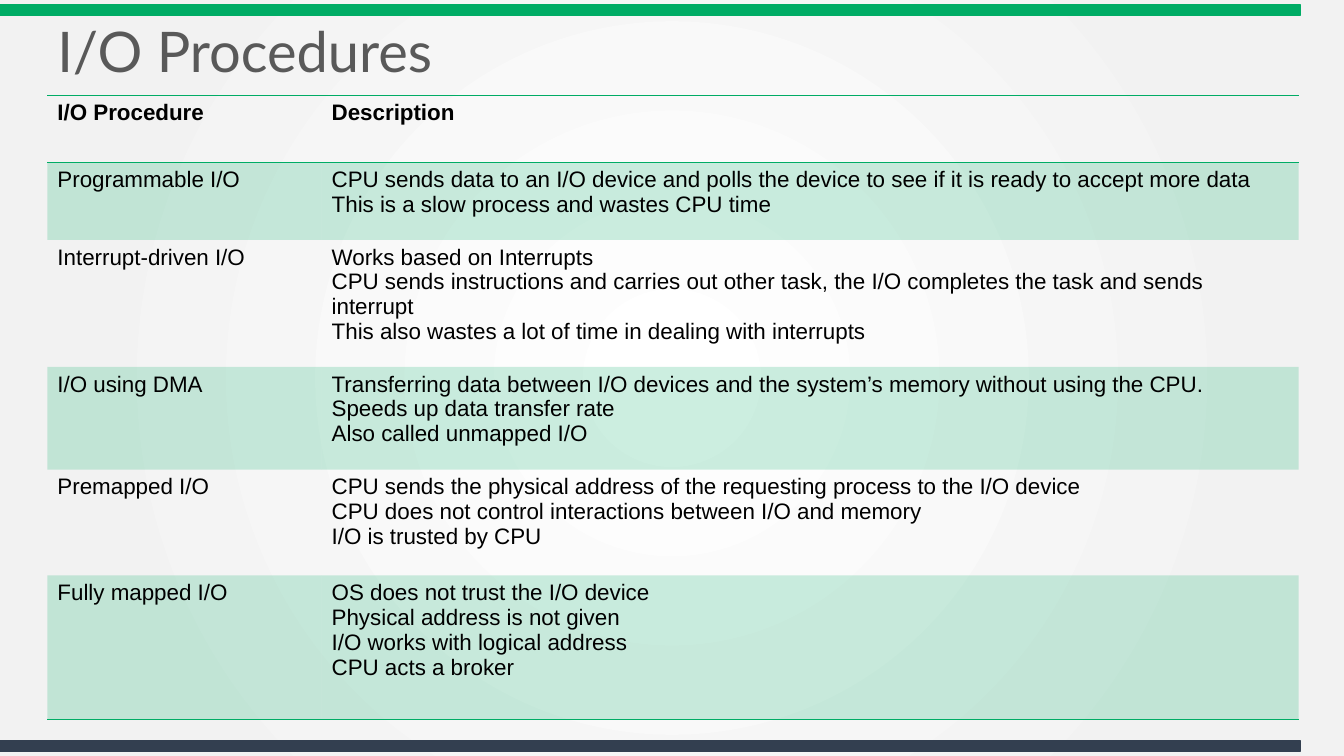
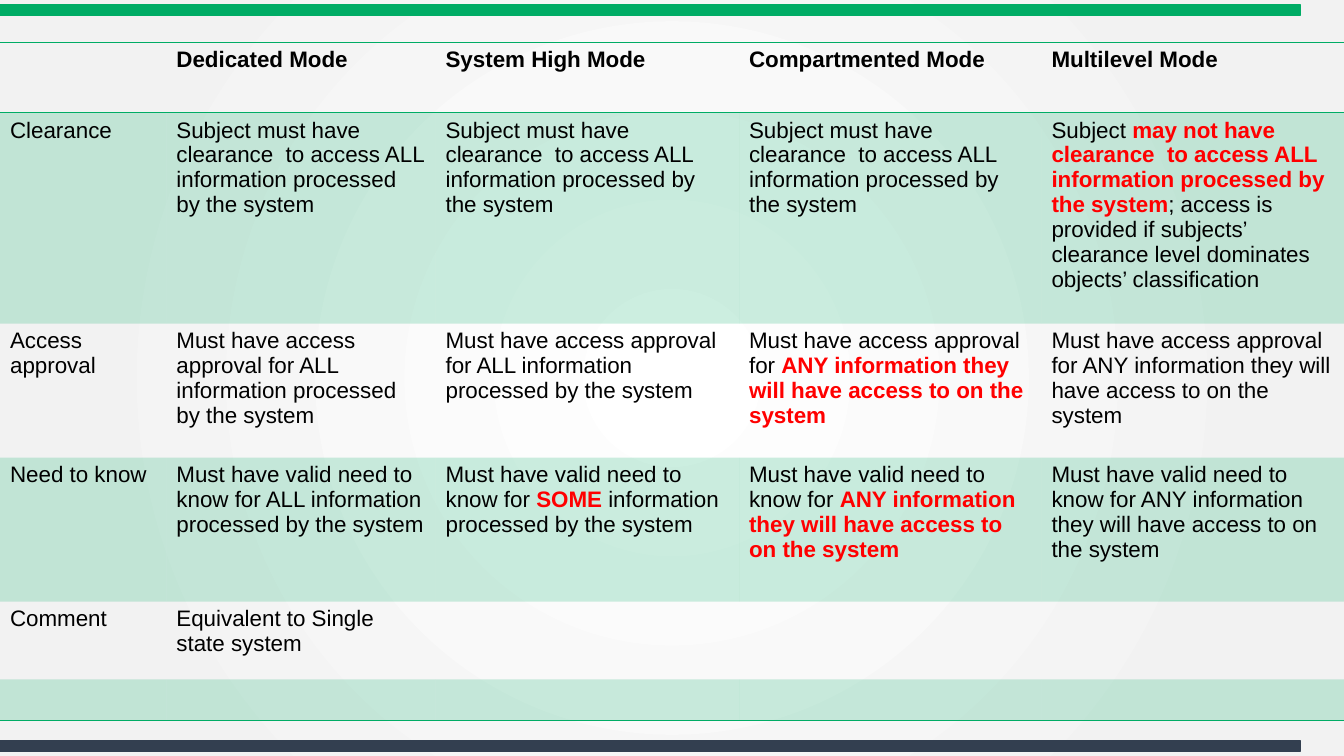
import pptx
import pptx.util
import pptx.dml.color
import pptx.enum.shapes
import pptx.enum.text
import pptx.oxml
import pptx.oxml.ns

Inches = pptx.util.Inches
Pt = pptx.util.Pt

COLORS = {
    "green": "00AC65", "navy": "333F50", "title": "595959", "text": "000000",
    "accent": "FF0000", "center": "FFFFFF", "edge": "F2F2F2",
}
TITLE_FONT = "Lato"
BODY_FONT = "Arial"
NO_GRID_STYLE = "{2D5ABB26-0587-4C30-8999-92F81FD0307C}"
BAND_ALPHA = 20000  # 20 % opacity

# Cell text: a line break starts a paragraph, *asterisks* mark red bold words
PROCEDURES = [
    ["I/O Procedure", "Description"],
    ["Programmable I/O",
     "CPU sends data to an I/O device and polls the device to see if it is ready to accept more data\n"
     "This is a slow process and wastes CPU time"],
    ["Interrupt-driven I/O",
     "Works based on Interrupts\n"
     "CPU sends instructions and carries out other task, the I/O completes the task and sends interrupt\n"
     "This also wastes a lot of time in dealing with interrupts"],
    ["I/O using DMA",
     "Transferring data between I/O devices and the system’s memory without using the CPU.\n"
     "Speeds up data transfer rate\n"
     "Also called unmapped I/O"],
    ["Premapped I/O",
     "CPU sends the physical address of the requesting process to the I/O device\n"
     "CPU does not control interactions between I/O and memory\n"
     "I/O is trusted by CPU"],
    ["Fully mapped I/O",
     "OS does not trust the I/O device\n"
     "Physical address is not given\n"
     "I/O works with logical address\n"
     "CPU acts a broker"],
]

CLEARANCE = "Subject must have clearance  to access ALL information processed by the system"
APPROVAL = "Must have access approval for "
NEED = "Must have valid need to know for "
ALL = "ALL information processed by the system"
ANY = "ANY information they will have access to on the system"
MODES = [
    ["", "Dedicated Mode", "System High Mode", "Compartmented Mode", "Multilevel Mode"],
    ["Clearance", CLEARANCE, CLEARANCE, CLEARANCE,
     "Subject *may not have clearance  to access ALL information processed by the system*"
     "; access is provided if subjects’ clearance level dominates objects’ classification"],
    ["Access approval", APPROVAL + ALL, APPROVAL + ALL, f"{APPROVAL}*{ANY}*", APPROVAL + ANY],
    ["Need to know", NEED + ALL, NEED + "*SOME* information processed by the system",
     f"{NEED}*{ANY}*", NEED + ANY],
    ["Comment", "Equivalent to Single state system", "", "", ""],
    ["", "", "", "", ""],
]


def rgb(name):
    return pptx.dml.color.RGBColor.from_string(COLORS[name])


def drawing_xml(markup):
    """Parse one DrawingML element, adding the namespace to its root tag."""
    tag, rest = markup.split(" ", 1)
    return pptx.oxml.parse_xml(f"{tag} {pptx.oxml.ns.nsdecls('a')} {rest}")


def set_background(master):
    """Radial gradient inherited by every slide."""
    fill = master.background.fill
    fill.solid()
    fill.fore_color.rgb = rgb("edge")
    stops = "".join(
        f'<a:gs pos="{position}"><a:srgbClr val="{COLORS[name]}"/></a:gs>'
        for position, name in ((0, "center"), (81000, "edge"), (100000, "edge")))
    gradient = drawing_xml(
        f'<a:gradFill rotWithShape="1"><a:gsLst>{stops}</a:gsLst><a:path path="circle">'
        '<a:fillToRect l="50000" t="50000" r="50000" b="50000"/></a:path></a:gradFill>')
    solid = next(master.element.iter(pptx.oxml.ns.qn("a:solidFill")))
    solid.getparent().replace(solid, gradient)


def add_band(slide, top, color):
    band = slide.shapes.add_shape(
        pptx.enum.shapes.MSO_SHAPE.RECTANGLE, 0, Inches(top), Inches(12.9), Inches(0.1))
    band.shadow.inherit = False
    band.fill.solid()
    band.fill.fore_color.rgb = rgb(color)
    band.line.color.rgb = rgb(color)
    band.line.width = Pt(1)


def add_slide(presentation):
    """Blank slide with the shared top and bottom bands."""
    slide = presentation.slides.add_slide(presentation.slide_layouts[6])
    add_band(slide, 0.05, "green")
    add_band(slide, 7.35, "navy")
    return slide


def add_run(paragraph, text, font, size, color, bold=False):
    run = paragraph.add_run()
    run.text = text
    run.font.name = font
    run.font.size = Pt(size)
    run.font.bold = bold
    run.font.color.rgb = rgb(color)


def add_title(slide, text):
    box = slide.shapes.add_textbox(Inches(0.47), Inches(0.14), Inches(11.7), Inches(0.8))
    frame = box.text_frame
    frame.word_wrap = True
    frame.vertical_anchor = pptx.enum.text.MSO_ANCHOR.MIDDLE
    paragraph = frame.paragraphs[0]
    paragraph.line_spacing = 0.9
    add_run(paragraph, text, TITLE_FONT, 40, "title")


def write_cell(cell, text, header):
    frame = cell.text_frame
    for index, line in enumerate(text.split("\n")):
        paragraph = frame.add_paragraph() if index else frame.paragraphs[0]
        for part, words in enumerate(line.split("*")):
            marked = part % 2 == 1
            if words:
                add_run(paragraph, words, BODY_FONT, 16,
                        "accent" if marked else "text", header or marked)


def add_border(cell, side):
    properties = cell._tc.get_or_add_tcPr()
    properties.append(drawing_xml(
        f'<a:ln{side} w="{Pt(1)}"><a:solidFill><a:srgbClr val="{COLORS["green"]}"/>'
        f'</a:solidFill></a:ln{side}>'))


def fill_band(cell):
    cell.fill.solid()
    cell.fill.fore_color.rgb = rgb("green")
    color = next(cell._tc.tcPr.find(pptx.oxml.ns.qn("a:solidFill")).iterchildren())
    color.append(drawing_xml(f'<a:alpha val="{BAND_ALPHA}"/>'))


def add_banded_table(slide, left, top, widths, heights, rows):
    """Table with ruled header, tinted odd rows and a closing rule."""
    shape = slide.shapes.add_table(
        len(rows), len(widths), Inches(left), Inches(top),
        Inches(sum(widths)), Inches(sum(heights)))
    next(shape.element.iter(pptx.oxml.ns.qn("a:tableStyleId"))).text = NO_GRID_STYLE
    table = shape.table
    for column, width in zip(table.columns, widths):
        column.width = Inches(width)
    for row, height in zip(table.rows, heights):
        row.height = Inches(height)

    for row_index, texts in enumerate(rows):
        header = row_index == 0
        for column_index, text in enumerate(texts):
            cell = table.cell(row_index, column_index)
            write_cell(cell, text, header)
            if header:
                add_border(cell, "T")
            if header or row_index == len(rows) - 1:
                add_border(cell, "B")
            if row_index % 2:
                fill_band(cell)
            else:
                cell.fill.background()


def main():
    presentation = pptx.Presentation()
    presentation.slide_width = Inches(13.33)
    presentation.slide_height = Inches(7.5)
    set_background(presentation.slide_master)

    # I/O procedures
    slide = add_slide(presentation)
    add_title(slide, "I/O Procedures")
    add_banded_table(slide, 0.47, 0.95, [2.72, 9.69],
                     [0.66, 0.77, 1.26, 1.02, 1.05, 1.43], PROCEDURES)

    # Security modes
    slide = add_slide(presentation)
    add_banded_table(slide, 0, 0.42, [1.65, 2.67, 3.01, 3, 3],
                     [0.7, 2.09, 1.33, 1.43, 0.77, 0.41], MODES)

    presentation.save("out.pptx")


main()
